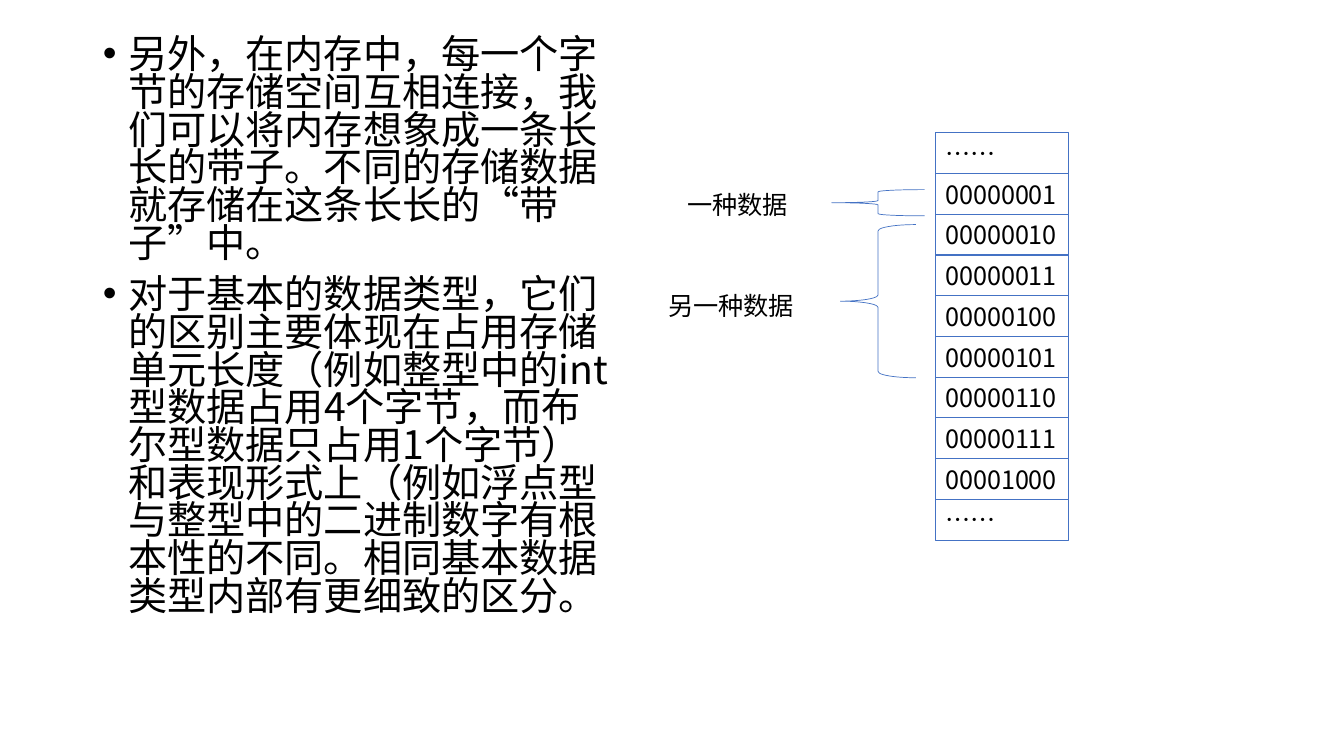
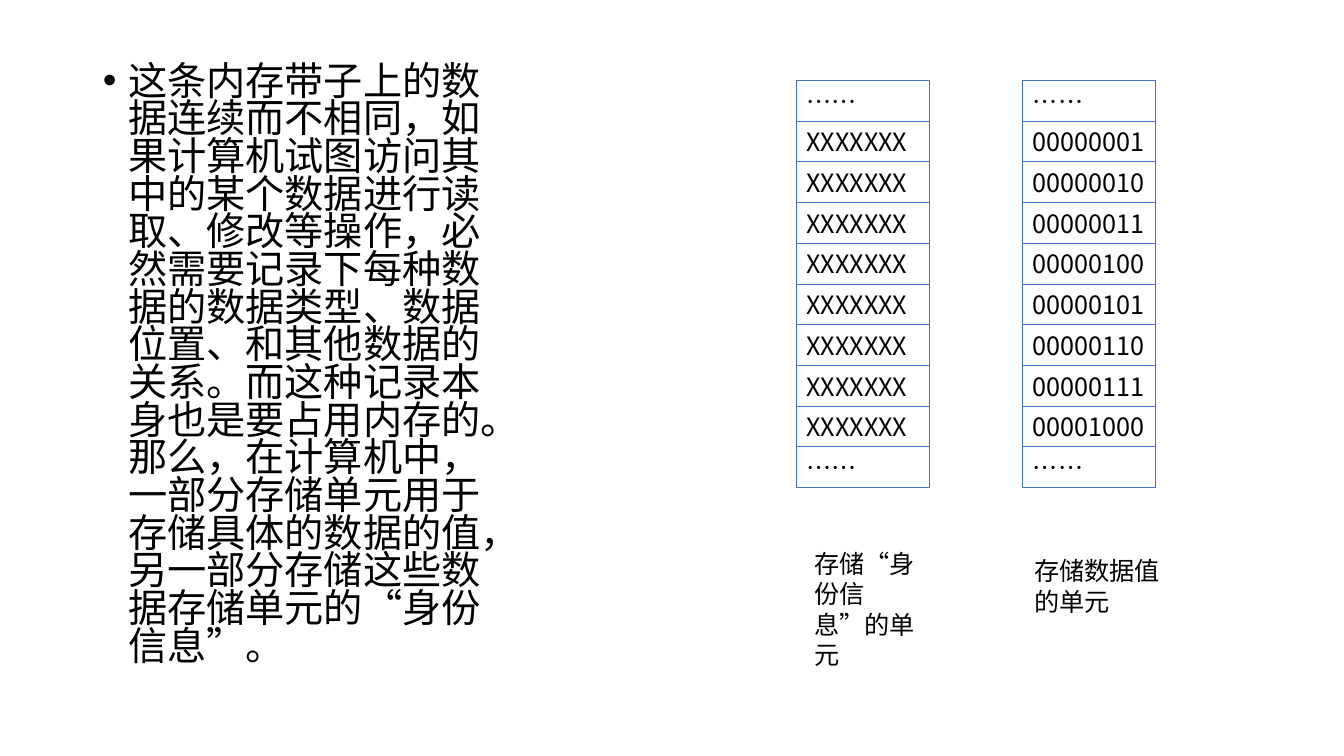
from pptx import Presentation
from pptx.dml.color import RGBColor
from pptx.enum.lang import MSO_LANGUAGE_ID
from pptx.enum.shapes import MSO_SHAPE
from pptx.enum.text import MSO_ANCHOR, MSO_AUTO_SIZE, PP_ALIGN
from pptx.oxml.ns import qn
from pptx.util import Cm, Pt

RECTANGLE = MSO_SHAPE.RECTANGLE
LEFT_BRACE = MSO_SHAPE.LEFT_BRACE
LEFT = PP_ALIGN.LEFT
TOP = MSO_ANCHOR.TOP
MIDDLE = MSO_ANCHOR.MIDDLE
NO_AUTOFIT = MSO_AUTO_SIZE.NONE
CHINESE = MSO_LANGUAGE_ID.SIMPLIFIED_CHINESE

BLACK = RGBColor(0x00, 0x00, 0x00)
BLUE = RGBColor(0x44, 0x72, 0xC4)
FONT = "Noto Sans CJK SC"
BODY_SIZE = 28
LABEL_SIZE = 18
BODY_LINE = Pt(26.9)
LABEL_LINE = Pt(21.7)

CONTENT_LAYOUT = 1
CELL_WIDTH = 3.35
COLUMN_HEIGHT = 10.26

ELLIPSIS = "……"
VALUES = [ELLIPSIS, *(f"{number:08b}" for number in range(1, 9)), ELLIPSIS]
IDENTITIES = [ELLIPSIS, *["XXXXXXX"] * 8, ELLIPSIS]

TAPE_TEXT = [
    "另外，在内存中，每一个字节的存储空间互相连接，我们可以将内存想象成一条长长的带子。"
    "不同的存储数据就存储在这条长长的“带子”中。",
    "对于基本的数据类型，它们的区别主要体现在占用存储单元长度"
    "（例如整型中的int型数据占用4个字节，而布尔型数据只占用1个字节）"
    "和表现形式上（例如浮点型与整型中的二进制数字有根本性的不同。"
    "相同基本数据类型内部有更细致的区分。",
]
IDENTITY_TEXT = [
    "这条内存带子上的数据连续而不相同，如果计算机试图访问其中的某个数据进行读取、"
    "修改等操作，必然需要记录下每种数据的数据类型、数据位置、和其他数据的关系。"
    "而这种记录本身也是要占用内存的。那么，在计算机中，一部分存储单元用于存储具体的数据的值，"
    "另一部分存储这些数据存储单元的“身份信息”。",
]


def format_text(text_frame, size, line_spacing, anchor=TOP):
    """Give all text of a frame the shared font, size and line spacing."""
    text_frame.word_wrap = True
    text_frame.auto_size = NO_AUTOFIT
    text_frame.vertical_anchor = anchor
    for paragraph in text_frame.paragraphs:
        paragraph.alignment = LEFT
        paragraph.line_spacing = line_spacing
        for run in paragraph.runs:
            run.font.name = FONT
            run.font.size = Pt(size)
            run.font.color.rgb = BLACK
            run.font.language_id = CHINESE
            east_asian = run.font._element.makeelement(qn("a:ea"), {"typeface": FONT})
            run.font._element.find(qn("a:latin")).addnext(east_asian)


def add_body_slide(presentation, box, paragraphs):
    """Add a slide whose bulleted body fills the box, and return it."""
    slide = presentation.slides.add_slide(presentation.slide_layouts[CONTENT_LAYOUT])
    title = slide.shapes.title.element
    title.getparent().remove(title)
    body = slide.placeholders[1]
    body.left, body.top, body.width, body.height = map(Cm, box)
    body.text_frame.text = "\n".join(paragraphs)
    format_text(body.text_frame, BODY_SIZE, BODY_LINE)
    for paragraph in body.text_frame.paragraphs:
        paragraph.space_before = Pt(10)
        properties = paragraph._p.get_or_add_pPr()
        properties.set("marL", str(Cm(0.64)))
        properties.set("indent", str(-Cm(0.64)))
    return slide


def add_outline(slide, preset, box, line_width):
    """Add an unfilled preset shape with a blue line."""
    shape = slide.shapes.add_shape(preset, *map(Cm, box))
    shape.shadow.inherit = False
    shape.fill.background()
    shape.line.color.rgb = BLUE
    shape.line.width = Pt(line_width)
    return shape


def add_memory_column(slide, left, top, contents):
    """Stack one memory cell per content string, downwards from the top."""
    height = COLUMN_HEIGHT / len(contents)
    for row, content in enumerate(contents):
        box = (left, top + row * height, CELL_WIDTH, height)
        cell = add_outline(slide, RECTANGLE, box, 0.75)
        cell.text_frame.text = content
        format_text(cell.text_frame, LABEL_SIZE, LABEL_LINE, MIDDLE)


def add_label(slide, box, text):
    """Add a plain label in the box."""
    label = slide.shapes.add_textbox(*map(Cm, box))
    label.text_frame.text = text
    format_text(label.text_frame, LABEL_SIZE, LABEL_LINE)


def add_tape_slide(presentation):
    """Show memory as a tape, with braces around two pieces of data."""
    slide = add_body_slide(presentation, (2.34, 0.86, 13.31, 16.31), TAPE_TEXT)
    add_memory_column(slide, 23.57, 3.35, VALUES)
    add_outline(slide, LEFT_BRACE, (21.18, 5.66, 1.9, 3.86), 0.5)
    add_outline(slide, LEFT_BRACE, (20.96, 4.78, 2.34, 0.66), 0.5)
    add_label(slide, (17.07, 4.65, 3.4, 1.02), "一种数据")
    add_label(slide, (16.59, 7.19, 3.89, 1.02), "另一种数据")


def add_identity_slide(presentation):
    """Show identity cells beside value cells, each with a caption."""
    slide = add_body_slide(presentation, (2.34, 1.52, 11, 15.65), IDENTITY_TEXT)
    add_memory_column(slide, 20.07, 2.03, IDENTITIES)
    add_memory_column(slide, 25.78, 2.03, VALUES)
    add_label(slide, (20.27, 13.69, 3.15, 2.57), "存储“身份信息”的单元")
    add_label(slide, (25.81, 13.87, 4.17, 1.8), "存储数据值的单元")


def main():
    """Build both slides and save them."""
    presentation = Presentation()
    presentation.slide_width = Cm(33.87)
    presentation.slide_height = Cm(19.05)
    add_tape_slide(presentation)
    add_identity_slide(presentation)
    presentation.save("out.pptx")


main()
